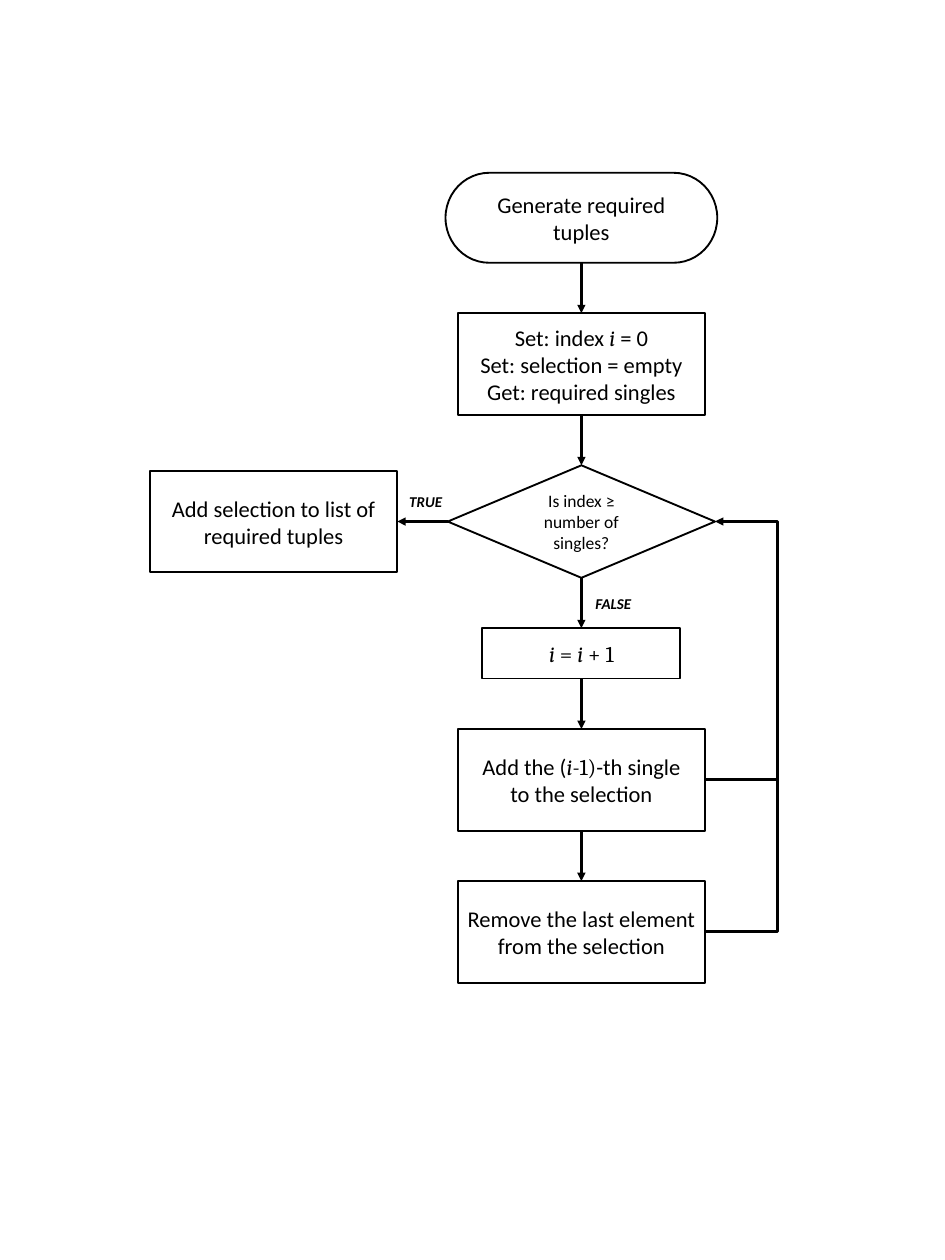
from lxml import etree
from pptx import Presentation
from pptx import util as u
from pptx.dml.color import RGBColor
from pptx.enum import shapes, text
from pptx.oxml.ns import qn

BLACK = RGBColor(0, 0, 0)
WHITE = RGBColor(255, 255, 255)

SLIDE_WIDTH, SLIDE_HEIGHT = 10.5, 14
MAIN_COLUMN, SIDE_COLUMN, LOOP_COLUMN = 6.46, 3.04, 8.64
FIRST_ROW, GAP = 1.92, 0.56
BOX = (2.75, 1.13)
LABEL = (0.71, 0.32)
TOP, LEFT, BOTTOM, RIGHT = range(4)

KINDS = shapes.MSO_SHAPE
PROCESS = KINDS.FLOWCHART_PROCESS
PLAIN = {"name": "Calibri"}
MATH = {"name": "Cambria"}
VARIABLE = {"name": "Cambria", "italic": True}
EMPHASIS = {"name": "Calibri", "bold": True, "italic": True}

STEPS = [
    ("start", KINDS.FLOWCHART_TERMINATOR, (3.02, 1), 18,
     [[("Generate required tuples", PLAIN)]]),
    ("setup", PROCESS, BOX, 18,
     [[("Set: index ", PLAIN), ("i", VARIABLE), (" = 0", PLAIN)],
      [("Set: selection = empty", PLAIN)],
      [("Get: required singles", PLAIN)]]),
    ("decision", KINDS.FLOWCHART_DECISION, (2.97, 1.25), 14,
     [[("Is index ≥ number of singles?", PLAIN)]]),
    ("increment", PROCESS, (2.2, 0.56), 18,
     [[("i", VARIABLE), (" = ", MATH), ("i", VARIABLE), (" + 1", MATH)]]),
    ("add", PROCESS, BOX, 18,
     [[("Add the (", PLAIN), ("i-", VARIABLE), ("1)", MATH), ("-th single", PLAIN)],
      [("to the selection", PLAIN)]]),
    ("remove", PROCESS, BOX, 18,
     [[("Remove the last element from the selection", PLAIN)]]),
]


def write(shape, paragraphs, size):
    frame = shape.text_frame
    frame.word_wrap = True
    frame.vertical_anchor = text.MSO_ANCHOR.MIDDLE
    for index, runs in enumerate(paragraphs):
        paragraph = frame.add_paragraph() if index else frame.paragraphs[0]
        paragraph.alignment = text.PP_ALIGN.CENTER
        for words, style in runs:
            run = paragraph.add_run()
            run.text = words
            run.font.color.rgb = BLACK
            for name, value in {"size": u.Pt(size), **style}.items():
                setattr(run.font, name, value)


def add_node(slide, kind, centre, size, paragraphs, font_size, outlined=True):
    left, top = (middle - length / 2 for middle, length in zip(centre, size))
    shape = slide.shapes.add_shape(kind, *map(u.Inches, (left, top, *size)))
    shape.shadow.inherit = False
    if outlined:
        shape.fill.solid()
        shape.fill.fore_color.rgb = WHITE
        shape.line.color.rgb = BLACK
        shape.line.width = u.Pt(1.5)
    else:
        shape.fill.background()
        shape.line.fill.background()
    write(shape, paragraphs, font_size)
    return shape


def add_label(slide, words, centre):
    add_node(slide, PROCESS, centre, LABEL, [[(words, EMPHASIS)]], 12, outlined=False)


def add_link(slide, source, side, target=None, target_side=None, end=(0, 0),
             kind=shapes.MSO_CONNECTOR.STRAIGHT):
    connector = slide.shapes.add_connector(kind, 0, 0, *end)
    connector.begin_connect(source, side)
    connector.line.color.rgb = BLACK
    connector.line.width = u.Pt(2.25)
    properties = connector._element.spPr
    etree.SubElement(properties, qn("a:effectLst"))
    if target is not None:
        connector.end_connect(target, target_side)
        etree.SubElement(connector.line._get_or_add_ln(), qn("a:tailEnd"), type="triangle")
    return connector


def add_loop(slide, source, target):
    connector = add_link(slide, source, RIGHT, target, RIGHT,
                         kind=shapes.MSO_CONNECTOR.ELBOW)
    reach = u.Inches(LOOP_COLUMN) - connector.begin_x
    bend = round(100000 * reach / (connector.end_x - connector.begin_x))
    geometry = connector._element.spPr.find(qn("a:prstGeom"))
    etree.SubElement(geometry.find(qn("a:avLst")), qn("a:gd"),
                     name="adj1", fmla=f"val {bend}")


def add_steps(slide):
    nodes, top, previous = {}, FIRST_ROW, None
    for name, kind, size, font_size, paragraphs in STEPS:
        centre = (MAIN_COLUMN, top + size[1] / 2)
        nodes[name] = add_node(slide, kind, centre, size, paragraphs, font_size)
        if previous is not None:
            add_link(slide, previous, BOTTOM, nodes[name], TOP)
        previous = nodes[name]
        top += size[1] + GAP
    return nodes


def main():
    presentation = Presentation()
    presentation.slide_width = u.Inches(SLIDE_WIDTH)
    presentation.slide_height = u.Inches(SLIDE_HEIGHT)
    slide = presentation.slides.add_slide(presentation.slide_layouts[6])

    nodes = add_steps(slide)
    decision, add = nodes["decision"], nodes["add"]
    decision_row = u.Emu(decision.top + decision.height // 2).inches
    result = add_node(slide, PROCESS, (SIDE_COLUMN, decision_row), BOX,
                      [[("Add selection to list of required tuples", PLAIN)]], 18)
    add_link(slide, decision, LEFT, result, RIGHT)
    add_loop(slide, nodes["remove"], decision)
    add_link(slide, add, RIGHT,
             end=(u.Inches(LOOP_COLUMN), add.top + add.height // 2))

    below_decision = u.Emu(decision.top + decision.height).inches + GAP / 2
    add_label(slide, "FALSE", (MAIN_COLUMN + LABEL[0] / 2, below_decision))
    add_label(slide, "TRUE", (4.73, decision_row - 0.22))
    presentation.save("out.pptx")


if __name__ == "__main__":
    main()
